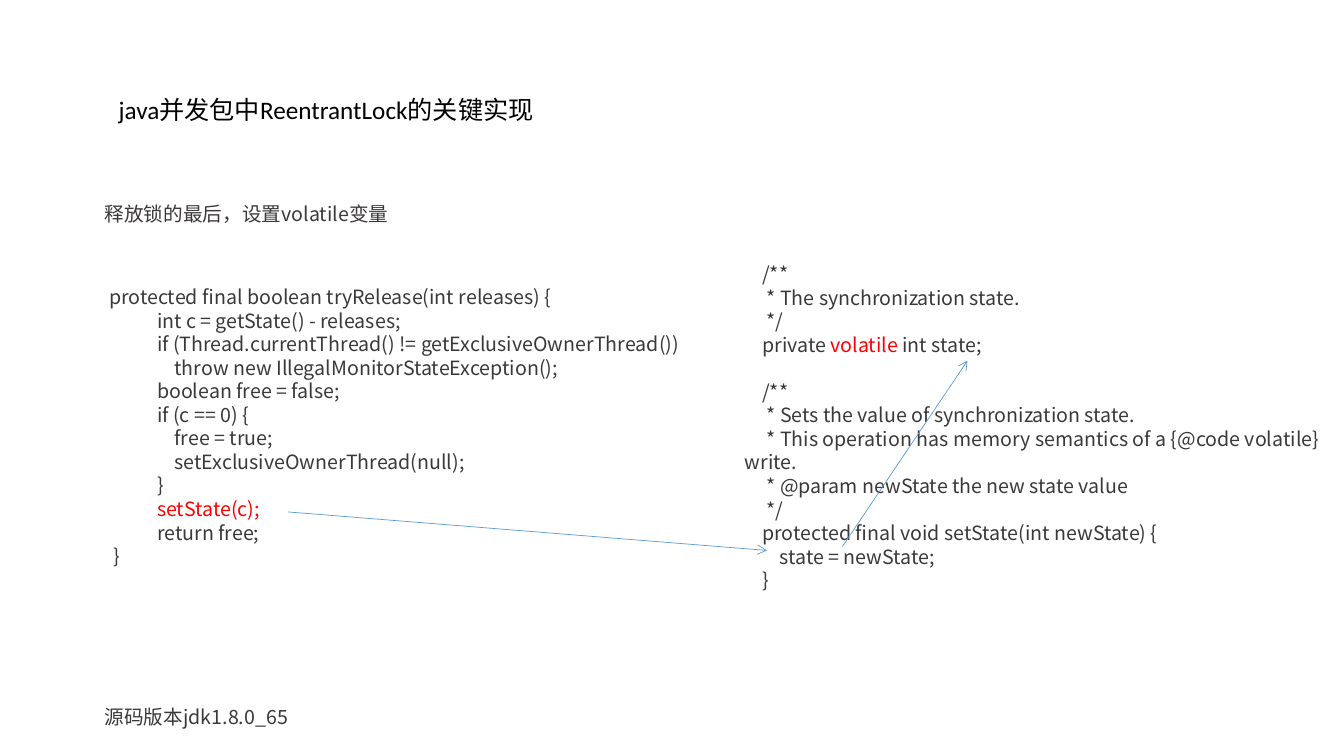
from dataclasses import dataclass

from lxml import etree
from pptx import Presentation
from pptx import util as u
from pptx.dml.color import RGBColor
from pptx.enum import shapes, text
from pptx.oxml.ns import qn


@dataclass(frozen=True)
class Theme:
    title = RGBColor(0x00, 0x00, 0x00)
    body = RGBColor(0x3B, 0x38, 0x38)
    accent = RGBColor(0xFF, 0x00, 0x00)
    arrow = RGBColor(0x5B, 0x9B, 0xD5)
    title_font = "Calibri"
    body_font = "Noto Sans CJK SC"
    title_size = 18
    body_size = 14
    leading = 1.2


theme = Theme()
SPACE = 0.11  # width of one code column in cm


def add_text(slide, box, lines, font=theme.body_font, size=theme.body_size,
             color=theme.body):
    """Add lines of (columns of indent, runs); a run in the accent colour starts with '!'.

    An empty list of runs leaves a one-line gap before the next line.
    """
    sp = slide.shapes.add_textbox(*(u.Cm(v) for v in box))
    tf = sp.text_frame
    tf.word_wrap = True
    tf.auto_size = text.MSO_AUTO_SIZE.SHAPE_TO_FIT_TEXT
    p, gap = tf.paragraphs[0], 0
    for i, (columns, runs) in enumerate(lines):
        if not runs:
            gap = size * theme.leading
            continue
        if i:
            p = tf.add_paragraph()
        p.line_spacing = u.Pt(size * theme.leading)
        p.space_before = u.Pt(gap)
        gap = 0
        pPr = p._p.get_or_add_pPr()
        pPr.set("marL", "0")
        pPr.set("indent", str(u.Cm(columns * SPACE)))
        for words in runs:
            r = p.add_run()
            r.text = words.removeprefix("!")
            r.font.name = font
            r.font.size = u.Pt(size)
            r.font.color.rgb = theme.accent if words.startswith("!") else color
            ea = etree.SubElement(r._r.get_or_add_rPr(), qn("a:ea"))
            ea.set("typeface", theme.body_font)


prs = Presentation()
prs.slide_width, prs.slide_height = u.Cm(33.87), u.Cm(19.05)
s = prs.slides.add_slide(prs.slide_layouts[6])

release_code = [
    (1, ["protected final boolean tryRelease(int releases) {"]),
    (12, ["int c = getState() - releases;"]),
    (12, ["if (Thread.currentThread() != getExclusiveOwnerThread())"]),
    (16, ["throw new IllegalMonitorStateException();"]),
    (12, ["boolean free = false;"]),
    (12, ["if (c == 0) {"]),
    (16, ["free = true;"]),
    (16, ["setExclusiveOwnerThread(null);"]),
    (12, ["}"]),
    (12, ["!setState(c);"]),
    (12, ["return free;"]),
    (2, ["}"]),
]
state_code = [
    (4, ["/**"]),
    (5, ["* The synchronization state."]),
    (5, ["*/"]),
    (4, ["private ", "!volatile ", "int state;"]),
    (0, []),
    (4, ["/**"]),
    (5, ["* Sets the value of synchronization state."]),
    (5, ["* This operation has memory semantics of a {@code volatile} write."]),
    (5, ["* @param newState the new state value"]),
    (5, ["*/"]),
    (4, ["protected final void setState(int newState) {"]),
    (8, ["state = newState;"]),
    (4, ["}"]),
]

add_text(s, (2.39, 7.06, 22.58, 7.42), release_code)
add_text(s, (2.39, 17.65, 7.01, 0.89), [(0, ["源码版本jdk1.8.0_65"])])
add_text(s, (2.39, 4.97, 19.13, 0.89), [(0, ["释放锁的最后，设置volatile变量"])])
add_text(s, (18.52, 6.48, 15.44, 8.59), state_code)
add_text(s, (2.74, 2.26, 10.97, 1.02), [(0, ["java并发包中ReentrantLock的关键实现"])],
         theme.title_font, theme.title_size, theme.title)

call_to_setter = (7.26, 12.9, 19.33, 13.87)
setter_to_field = (21.23, 13.77, 24.38, 9.09)
for ends in (call_to_setter, setter_to_field):
    arrow = s.shapes.add_connector(shapes.MSO_CONNECTOR.STRAIGHT, *(u.Cm(v) for v in ends))
    arrow.line.color.rgb = theme.arrow
    arrow.line.width = u.Pt(0.5)
    etree.SubElement(arrow.line._get_or_add_ln(), qn("a:tailEnd")).set("type", "arrow")
    etree.SubElement(arrow._element.spPr, qn("a:effectLst"))

prs.save("out.pptx")
